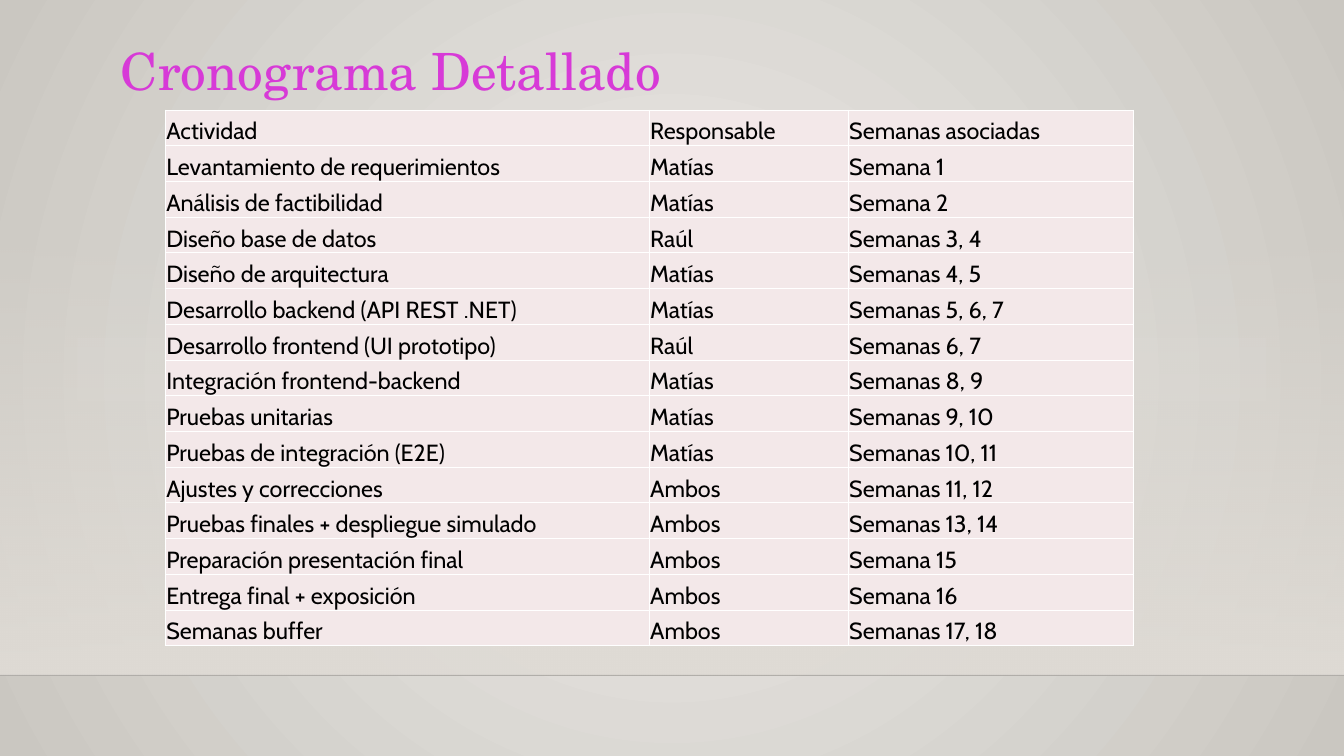
from dataclasses import dataclass

from lxml.etree import SubElement
from pptx import Presentation
from pptx.dml.color import RGBColor
from pptx.enum.shapes import MSO_CONNECTOR, MSO_SHAPE
from pptx.enum.text import MSO_ANCHOR, MSO_AUTO_SIZE, PP_ALIGN
from pptx.oxml import parse_xml
from pptx.oxml.ns import nsdecls, qn
from pptx.util import Inches, Pt


@dataclass(frozen=True)
class Theme:
    title: str = "D73AD7"
    ink: str = "000000"
    cell: str = "F3E8E9"
    white: str = "FFFFFF"
    glow: str = "ECEAE7"
    edge: str = "CAC7C1"
    floor: str = "DFDBD5"
    rule: str = "000001"
    serif: str = "TeX Gyre Schola"
    sans: str = "Cabin"
    large: int = 44
    small: int = 20


def set_font(para, name, size, color):
    para.font.name = name
    para.font.size = Pt(size)
    para.font.bold = False
    para.font.color.rgb = RGBColor.from_string(color)


def set_alpha(fill, percent):
    """Set the opacity of every colour inside an XML fill or stop."""
    for color in fill.iter(qn("a:srgbClr")):
        SubElement(color, qn("a:alpha")).set("val", str(percent * 1000))


theme = Theme()
deck = Presentation()
deck.slide_width, deck.slide_height = Inches(16), Inches(9)
slide = deck.slides.add_slide(deck.slide_layouts[5])
shapes = slide.shapes

# Background glow
back = slide.background.fill
back.solid()
back.fore_color.rgb = RGBColor.from_string(theme.edge)
solid = slide.background._cSld.bg.bgPr.find(qn("a:solidFill"))
solid.getparent().replace(solid, parse_xml(
    f'<a:gradFill {nsdecls("a")} rotWithShape="1"><a:gsLst>'
    f'<a:gs pos="0"><a:srgbClr val="{theme.glow}"/></a:gs>'
    f'<a:gs pos="100000"><a:srgbClr val="{theme.edge}"/></a:gs></a:gsLst>'
    '<a:path path="circle"><a:fillToRect l="50000" t="50000" r="50000" b="50000"/>'
    '</a:path></a:gradFill>'))

# Wall shade and floor line
wall = shapes.add_shape(MSO_SHAPE.RECTANGLE, 0, Inches(2.65), Inches(16), Inches(5.39))
wall.shadow.inherit = False
wall.line.fill.background()
wall.fill.gradient()
wall.fill.gradient_angle = 270
for stop, percent in zip(wall.fill.gradient_stops, (0, 100)):
    stop.color.rgb = RGBColor.from_string(theme.floor)
    set_alpha(stop._gs, percent)

floor = shapes.add_connector(MSO_CONNECTOR.STRAIGHT, 0, Inches(8.04), Inches(16), Inches(8.04))
floor.line.width = Pt(1)
floor.line.color.rgb = RGBColor.from_string(theme.rule)
set_alpha(floor.line._ln, 20)
SubElement(floor._element.spPr, qn("a:effectLst"))

# Title
title = shapes.title
title.left, title.top = Inches(1.44), Inches(0.44)
title.width, title.height = Inches(6.73), Inches(0.77)
frame = title.text_frame
frame.text = "Cronograma Detallado"
frame.margin_left = frame.margin_right = frame.margin_top = frame.margin_bottom = 0
frame.word_wrap = False
frame.auto_size = MSO_AUTO_SIZE.NONE
frame.vertical_anchor = MSO_ANCHOR.TOP
para = frame.paragraphs[0]
para.alignment = PP_ALIGN.LEFT
para.line_spacing = Pt(55)
set_font(para, theme.serif, theme.large, theme.title)

# Pale strip behind the table
strip = shapes.add_shape(MSO_SHAPE.RECTANGLE, Inches(0.92), Inches(4.02), Inches(14.15), Inches(0.75))
strip.shadow.inherit = False
strip.line.fill.background()
strip.fill.solid()
strip.fill.fore_color.rgb = RGBColor.from_string(theme.white)
set_alpha(strip._element.spPr, 4)

# Schedule
tasks = [
    ("Actividad", "Responsable", "Semanas asociadas"),
    ("Levantamiento de requerimientos", "Matías", "Semana 1"),
    ("Análisis de factibilidad", "Matías", "Semana 2"),
    ("Diseño base de datos", "Raúl", "Semanas 3, 4"),
    ("Diseño de arquitectura", "Matías", "Semanas 4, 5"),
    ("Desarrollo backend (API REST .NET)", "Matías", "Semanas 5, 6, 7"),
    ("Desarrollo frontend (UI prototipo)", "Raúl", "Semanas 6, 7"),
    ("Integración frontend-backend", "Matías", "Semanas 8, 9"),
    ("Pruebas unitarias", "Matías", "Semanas 9, 10"),
    ("Pruebas de integración (E2E)", "Matías", "Semanas 10, 11"),
    ("Ajustes y correcciones", "Ambos", "Semanas 11, 12"),
    ("Pruebas finales + despliegue simulado", "Ambos", "Semanas 13, 14"),
    ("Preparación presentación final", "Ambos", "Semana 15"),
    ("Entrega final + exposición", "Ambos", "Semana 16"),
    ("Semanas buffer", "Ambos", "Semanas 17, 18"),
]
widths = (5.76, 2.37, 3.4)
table = shapes.add_table(len(tasks), len(widths), Inches(1.97), Inches(1.31),
                         Inches(sum(widths)), Inches(6.38)).table
table.first_row = table.horz_banding = False
for column, width in zip(table.columns, widths):
    column.width = Inches(width)

for row, task in zip(table.rows, tasks):
    row.height = Inches(6.38 / len(tasks))
    for cell, text in zip(row.cells, task):
        cell.text = text
        cell.vertical_anchor = MSO_ANCHOR.BOTTOM
        cell.margin_left = cell.margin_right = cell.margin_top = Inches(0.01)
        cell.margin_bottom = 0
        set_font(cell.text_frame.paragraphs[0], theme.sans, theme.small, theme.ink)
        props = cell._tc.get_or_add_tcPr()
        for side in ("lnL", "lnR", "lnT", "lnB"):
            props.append(parse_xml(
                f'<a:{side} {nsdecls("a")} w="12700"><a:solidFill>'
                f'<a:srgbClr val="{theme.white}"/></a:solidFill></a:{side}>'))
        cell.fill.solid()
        cell.fill.fore_color.rgb = RGBColor.from_string(theme.cell)

deck.save("out.pptx")
